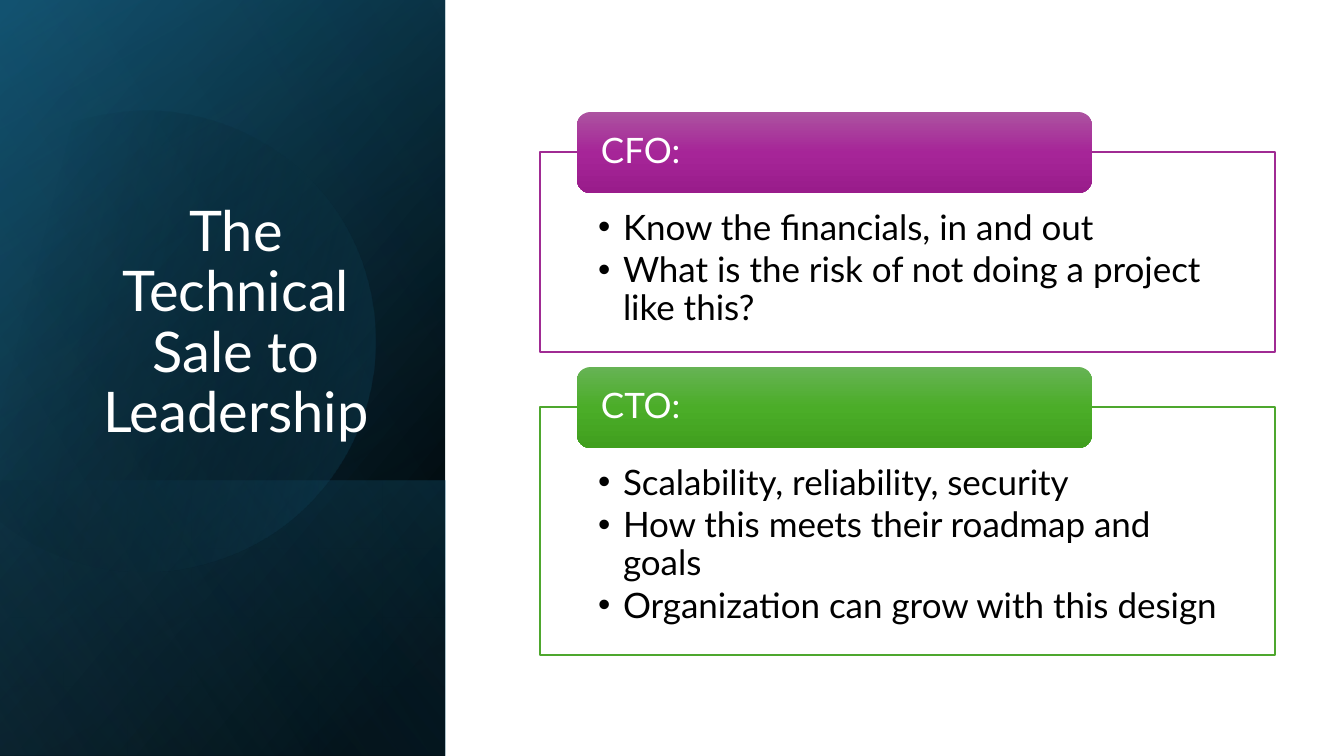
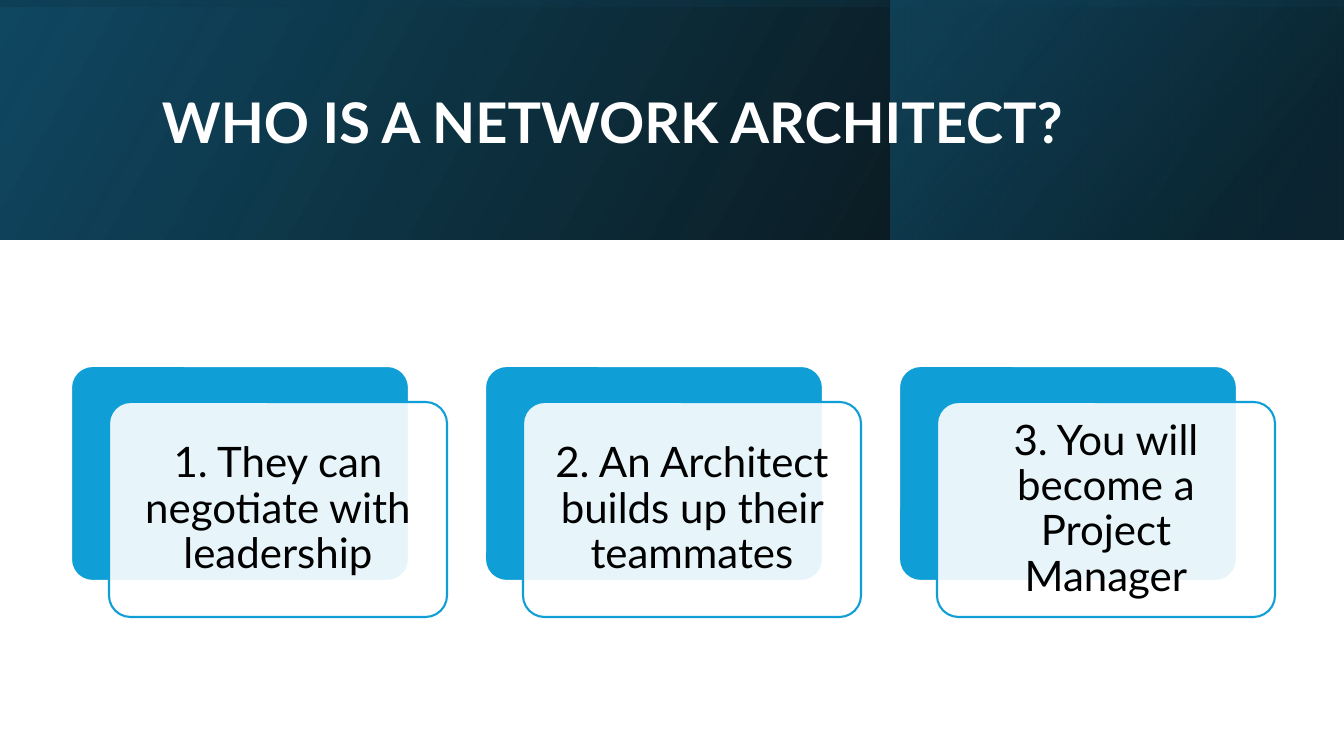
from math import cos, radians, sin

from pptx import Presentation
from pptx.dml.color import RGBColor
from pptx.enum.shapes import MSO_SHAPE
from pptx.enum.text import MSO_ANCHOR, PP_ALIGN
from pptx.oxml import parse_xml
from pptx.oxml.ns import qn
from pptx.util import Pt

PX = 914400 / 100.8
SLIDE_W, SLIDE_H = 1344, 756
NAMESPACE = "http://schemas.openxmlformats.org/drawingml/2006/main"
RECT, ROUNDED = MSO_SHAPE.RECTANGLE, MSO_SHAPE.ROUNDED_RECTANGLE
LEFT, CENTER = PP_ALIGN.LEFT, PP_ALIGN.CENTER
TOP, MIDDLE, BOTTOM = MSO_ANCHOR.TOP, MSO_ANCHOR.MIDDLE, MSO_ANCHOR.BOTTOM

FONT = "Lato"
WHITE, BLACK = "FFFFFF", "000000"
NAVY, TEAL, SKY, INK = "104862", "156082", "46B1E1", "0B3041"
BLUE, PURPLE, GREEN = "0F9ED5", "A02B93", "4EA72E"
TITLE_SIZE, BODY_SIZE, CARD_SIZE = 40, 25, 30

# Gradient stops: position %, colour, opacity %
SIDE_W = 445
SIDE_BOX = (0, 0, SIDE_W, SLIDE_H)
SIDE_PANELS = [
    (SIDE_BOX, [(8, BLACK, 100), (100, NAVY, 100)], 50, 90),
    (SIDE_BOX, [(0, BLACK, 0), (99, TEAL, 46)], 30, 90),
    ((0, 481, SIDE_W, 275), [(2, TEAL, 29), (100, BLACK, 30)], 130, 90),
]
SIDE_GLOW = (SIDE_BOX, [(0, BLACK, 0), (99, SKY, 11)], 120, 90)

# Each segment is one end point (line) or two handles and an end point (curve)
DISC_BOX, DISC_ROTATION = (-55, 107, 430, 461), 343.9
DISC_STOPS, DISC_ANGLE = [(29, BLACK, 0), (100, TEAL, 43)], 30
DISC_START = (150, 111)
DISC_SEGMENTS = [
    [(248, 113), (338, 178), (366, 277)],
    [(401, 400), (331, 527), (209, 562)],
    [(132, 585), (53, 565), (-3, 518)],
    [(-15, 507)],
    [(-15, 176)],
    [(0, 162)],
    [(23, 143), (50, 129), (81, 120)],
    [(104, 114), (127, 111), DISC_START],
]

BAND_BOX = (0, 0, SLIDE_W, 240)
BAND_PANELS = [
    (BAND_BOX, [(0, BLACK, 96), (100, NAVY, 100)], 330, 0),
    ((891, 0, 452, 240), [(19, INK, 68), (100, TEAL, 48)], 320, 0),
    (BAND_BOX, [(23, NAVY, 16), (99, BLACK, 45)], 350, 270),
]

ROLES = [
    ("CFO:", PURPLE, ("AC53A0", "A62598", "991C8B"), 200,
     ["Know the financials, in and out",
      "What is the risk of not doing a project like this?"]),
    ("CTO:", GREEN, ("66B354", "4BAD28", "409F1E"), 248,
     ["Scalability, reliability, security",
      "How this meets their roadmap and goals",
      "Organization can grow with this design"]),
]
CARDS = [
    "1. They can negotiate with leadership",
    "2. An Architect builds up their teammates",
    "3. You will become a Project Manager",
]


def emu(*lengths):
    return [round(length * PX) for length in lengths]


def rgb(color):
    return RGBColor.from_string(color)


def fill_gradient(shape, stops, angle):
    stop_xml = "".join(
        f'<a:gs pos="{position * 1000}"><a:srgbClr val="{color}">'
        f'<a:alpha val="{opacity * 1000}"/></a:srgbClr></a:gs>'
        for position, color, opacity in stops)
    shape.fill.background()
    properties = shape._element.spPr
    properties.replace(properties.find(qn("a:noFill")), parse_xml(
        f'<a:gradFill xmlns:a="{NAMESPACE}" rotWithShape="1"><a:gsLst>{stop_xml}</a:gsLst>'
        f'<a:lin ang="{angle * 60000}" scaled="0"/></a:gradFill>'))


def fill_solid(shape, color, opacity=100):
    shape.fill.solid()
    shape.fill.fore_color.rgb = rgb(color)
    if opacity < 100:
        color_element = shape._element.spPr.find(qn("a:solidFill"))[0]
        color_element.append(parse_xml(
            f'<a:alpha xmlns:a="{NAMESPACE}" val="{opacity * 1000}"/>'))


def outline(shape, color=None, width=1):
    shape.shadow.inherit = False
    if color is None:
        shape.line.fill.background()
    else:
        shape.line.color.rgb = rgb(color)
        shape.line.width = Pt(width)


def add_box(slide, kind, box, line=None, line_width=1):
    shape = slide.shapes.add_shape(kind, *emu(*box))
    outline(shape, line, line_width)
    return shape


def add_panel(slide, box, stops, angle, rotation):
    """Add a mirrored gradient panel that covers box once it is rotated."""
    left, top, width, height = box
    if rotation:
        left, top = left + (width - height) / 2, top + (height - width) / 2
        width, height = height, width
    panel = add_box(slide, RECT, (left, top, width, height))
    fill_gradient(panel, stops, angle)
    panel._element.spPr.xfrm.set("flipH", "1")
    panel.rotation = rotation


def disc_point(point):
    """Turn a slide point into EMU inside the disc's unrotated box."""
    left, top, width, height = DISC_BOX
    x, y = point[0] - left - width / 2, point[1] - top - height / 2
    turn = radians(DISC_ROTATION)
    return emu(x * cos(turn) + y * sin(turn) + width / 2,
               y * cos(turn) - x * sin(turn) + height / 2)


def add_disc(slide):
    builder = slide.shapes.build_freeform(*disc_point(DISC_START))
    builder.add_line_segments([disc_point(segment[-1]) for segment in DISC_SEGMENTS])
    disc = builder.convert_to_shape()
    disc.left, disc.top, disc.width, disc.height = emu(*DISC_BOX)
    disc.rotation = DISC_ROTATION

    outline_path = next(disc._element.iter(qn("a:path")))
    outline_path.set("w", str(disc.width))
    outline_path.set("h", str(disc.height))
    for element in list(outline_path):
        outline_path.remove(element)
    commands = {1: "lnTo", 3: "cubicBezTo"}
    steps = [("moveTo", [DISC_START])]
    steps += [(commands[len(segment)], segment) for segment in DISC_SEGMENTS]
    for command, points in steps:
        points_xml = "".join('<a:pt x="{}" y="{}"/>'.format(*disc_point(point))
                             for point in points)
        outline_path.append(parse_xml(
            f'<a:{command} xmlns:a="{NAMESPACE}">{points_xml}</a:{command}>'))
    outline_path.append(parse_xml(f'<a:close xmlns:a="{NAMESPACE}"/>'))

    outline(disc)
    fill_gradient(disc, DISC_STOPS, DISC_ANGLE)


def write_text(shape, lines, size=BODY_SIZE, color=BLACK, bold=False, align=LEFT,
               anchor=MIDDLE, insets=(10, 5, 10, 5), bullet=False, space_after=0):
    frame = shape.text_frame
    frame.word_wrap = True
    frame.vertical_anchor = anchor
    (frame.margin_left, frame.margin_top,
     frame.margin_right, frame.margin_bottom) = emu(*insets)
    for index, line in enumerate(lines):
        paragraph = frame.add_paragraph() if index else frame.paragraphs[0]
        paragraph.text = line
        paragraph.alignment = align
        paragraph.line_spacing = 0.9
        paragraph.space_after = Pt(space_after)
        if bullet:
            properties = paragraph._p.get_or_add_pPr()
            indent, = emu(25)
            properties.set("marL", str(indent))
            properties.set("indent", str(-indent))
            properties.append(parse_xml(f'<a:buFont xmlns:a="{NAMESPACE}" typeface="Arial"/>'))
            properties.append(parse_xml(f'<a:buChar xmlns:a="{NAMESPACE}" char="•"/>'))
        for run in paragraph.runs:
            font = run.font
            font.name, font.size, font.bold = FONT, Pt(size), bold
            font.color.rgb = rgb(color)


def add_title(slide, text, box, **text_format):
    title = slide.shapes.add_textbox(*emu(*box))
    write_text(title, [text], size=TITLE_SIZE, color=WHITE, **text_format)


def build_leadership(slide):
    for panel in SIDE_PANELS:
        add_panel(slide, *panel)
    add_disc(slide)
    add_panel(slide, *SIDE_GLOW)
    add_title(slide, "The Technical Sale to Leadership", (64, 186, 344, 264),
              align=CENTER, anchor=BOTTOM)

    frame_left, tab_height, gap = 540, 81, 15
    tab_top = 112
    for name, color, shades, frame_height, points in ROLES:
        frame_top = tab_top + tab_height // 2
        frame = add_box(slide, RECT, (frame_left, frame_top, 735, frame_height), color)
        fill_solid(frame, WHITE, 90)
        write_text(frame, points, anchor=TOP, insets=(58, 58, 57, 19),
                   bullet=True, space_after=3.5)
        tab = add_box(slide, ROUNDED, (frame_left + 37, tab_top, 515, tab_height))
        fill_gradient(tab, [(i * 50, shade, 100) for i, shade in enumerate(shades)], 90)
        write_text(tab, [name], color=WHITE, insets=(20, 0, 19, 0))
        tab_top = frame_top + frame_height + gap


def build_architect(slide):
    for panel in BAND_PANELS:
        add_panel(slide, *panel)
    add_title(slide, "WHO IS A NETWORK ARCHITECT?", (152, 39, 1072, 173), bold=True)

    for index, text in enumerate(CARDS):
        left, top, size = 71 + index * 414, 366, (338, 215)
        back = add_box(slide, ROUNDED, (left, top, *size), WHITE, 1.5)
        fill_solid(back, BLUE)
        front = add_box(slide, ROUNDED, (left + 38, top + 36, *size), BLUE, 1.5)
        fill_solid(front, WHITE, 90)
        for card in (back, front):
            card.adjustments[0] = 0.1
        write_text(front, [text], size=CARD_SIZE, align=CENTER, insets=(12, 12, 12, 12))


def main():
    presentation = Presentation()
    presentation.slide_width, presentation.slide_height = emu(SLIDE_W, SLIDE_H)
    blank = presentation.slide_layouts[6]
    for build in (build_leadership, build_architect):
        build(presentation.slides.add_slide(blank))
    presentation.save("out.pptx")


if __name__ == "__main__":
    main()
